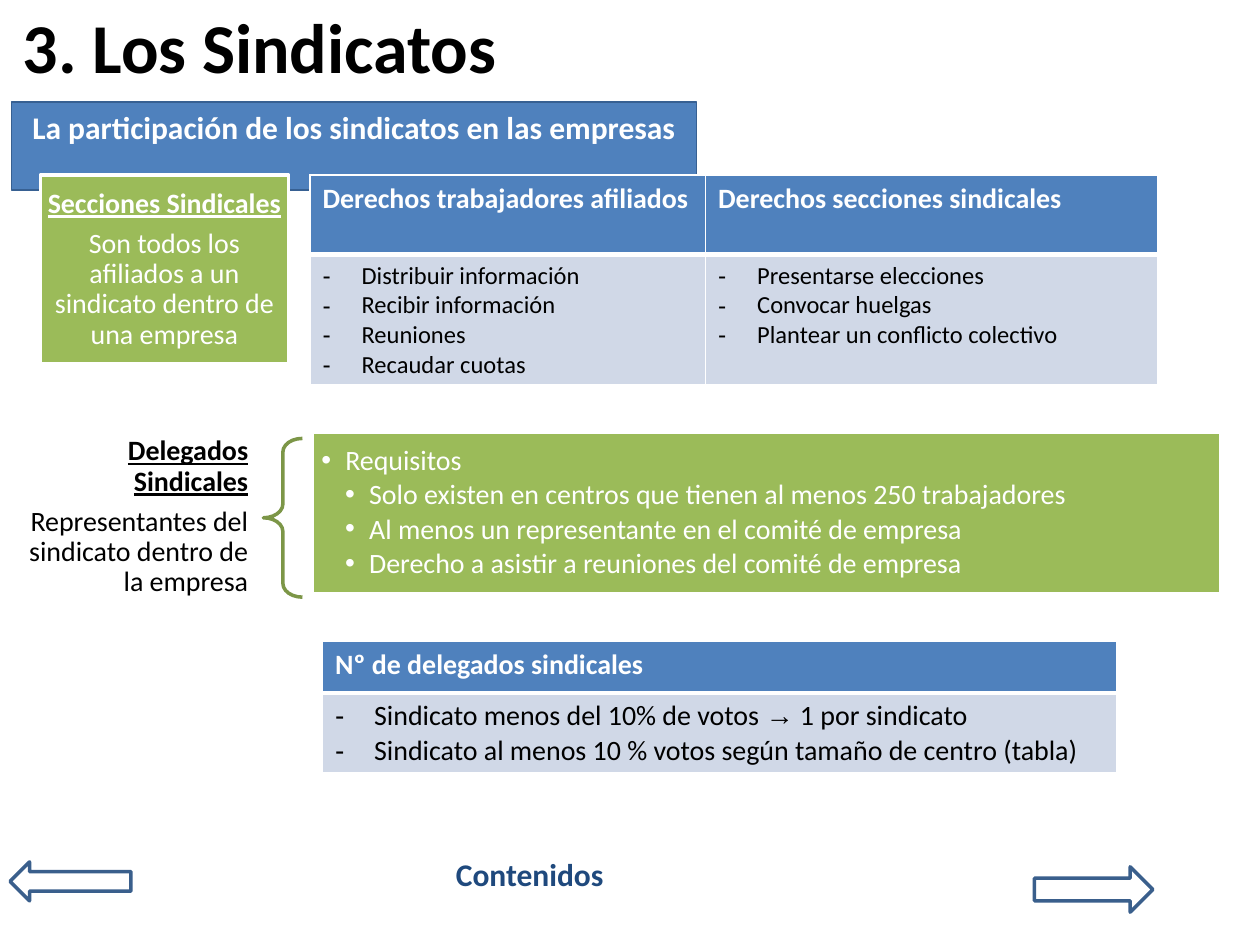
import dataclasses

import lxml.etree
import pptx
import pptx.dml.color
import pptx.enum.shapes
import pptx.enum.text
import pptx.oxml.ns
import pptx.util

SHAPE = pptx.enum.shapes.MSO_SHAPE
ALIGN = pptx.enum.text.PP_ALIGN
ANCHOR = pptx.enum.text.MSO_ANCHOR
PX = 9144  # EMU per px, 100 px to the inch
MARGINS = ("margin_left", "margin_top", "margin_right", "margin_bottom")


@dataclasses.dataclass(frozen=True)
class Theme:
    font: str = "Calibri"
    symbol_font: str = "Arial"
    white: str = "FFFFFF"
    black: str = "000000"
    blue: str = "4F81BD"
    blue_edge: str = "376092"
    arrow_edge: str = "3A5F8C"
    link: str = "1F497D"
    green: str = "9BBB59"
    brace: str = "7C9647"
    pale: str = "D0D8E7"
    title: int = 40
    heading: int = 18
    body: int = 16
    small: int = 14


def px(value):
    return pptx.util.Emu(value * PX)


def rgb(color):
    return pptx.dml.color.RGBColor.from_string(color)


def apply(target, values):
    for name, value in values.items():
        setattr(target, name, value)


def add_xml(parent, tag, **attributes):
    child = lxml.etree.SubElement(parent, pptx.oxml.ns.qn(tag))
    for name, value in attributes.items():
        child.set(name, str(value))
    return child


class SlideBuilder:
    def __init__(self, theme, slide):
        self.theme = theme
        self.slide = slide

    def paragraphs(self, frame, lines, size, color, fmt=None, bullet=None, margins=None, **frame_values):
        """Each line is (text, font values) or (text, font values, left indent, hanging indent)."""
        apply(frame, {"word_wrap": True, **frame_values})
        if margins:
            apply(frame, dict(zip(MARGINS, map(px, margins))))
        for index, (text, font_values, *indent) in enumerate(lines):
            paragraph = frame.paragraphs[0] if index == 0 else frame.add_paragraph()
            apply(paragraph, fmt or {})
            if bullet:
                self.bullet(paragraph, bullet, color, *indent)
            self.runs(paragraph, text, size, color, font_values)

    def runs(self, paragraph, text, size, color, font_values):
        before, arrow, after = text.partition("→")
        fonts = (self.theme.font, self.theme.symbol_font, self.theme.font)
        for part, font in zip((before, arrow, after), fonts):
            if part:
                run = paragraph.add_run()
                run.text = part
                apply(run.font, {"name": font, "size": pptx.util.Pt(size), "bold": False, **font_values})
                run.font.color.rgb = rgb(color)

    def bullet(self, paragraph, mark, color, left, hanging):
        properties = paragraph._p.get_or_add_pPr()
        properties.set("marL", str(px(left)))
        properties.set("indent", str(-px(hanging)))
        add_xml(add_xml(properties, "a:buClr"), "a:srgbClr", val=color)
        add_xml(properties, "a:buFont", typeface=self.theme.symbol_font)
        add_xml(properties, "a:buChar", char=mark)

    def title(self, box, text):
        title = self.slide.shapes.title
        apply(title, dict(zip(("left", "top", "width", "height"), map(px, box))))
        self.paragraphs(title.text_frame, [(text, {"bold": True})], self.theme.title, self.theme.black,
                        {"alignment": ALIGN.LEFT}, vertical_anchor=ANCHOR.MIDDLE,
                        auto_size=pptx.enum.text.MSO_AUTO_SIZE.NONE)

    def text(self, box, lines, size, color, **options):
        label = self.slide.shapes.add_textbox(*map(px, box))
        self.paragraphs(label.text_frame, lines, size, color, **options)

    def shape(self, kind, box, edge, edge_width, fill=None, adjustments=()):
        shape = self.slide.shapes.add_shape(kind, *map(px, box))
        shape.shadow.inherit = False
        if fill:
            shape.fill.solid()
            shape.fill.fore_color.rgb = rgb(fill)
        else:
            shape.fill.background()
        shape.line.color.rgb = rgb(edge)
        shape.line.width = pptx.util.Pt(edge_width)
        for index, value in enumerate(adjustments):
            shape.adjustments[index] = value
        return shape

    def table(self, left, top, widths, heights, headers, bodies, size):
        theme = self.theme
        frame = self.slide.shapes.add_table(2, len(widths), px(left), px(top), px(sum(widths)), px(sum(heights)))
        table = frame.table
        table.horz_banding = False
        for column, width in zip(table.columns, widths):
            column.width = px(width)
        for row, height in zip(table.rows, heights):
            row.height = px(height)
        for index, (header, items) in enumerate(zip(headers, bodies)):
            head, body = table.cell(0, index), table.cell(1, index)
            self.paragraphs(head.text_frame, [(header, {"bold": True})], theme.body, theme.white)
            self.paragraphs(body.text_frame, [(item, {}, 31, 31) for item in items],
                            size, theme.black, bullet="-")
            self.cell(head, theme.blue, {"L": 0.96, "R": 0.96, "T": 0.96, "B": 3})
            self.cell(body, theme.pale, {"L": 0.96, "R": 0.96, "T": 3, "B": 0.96})

    def cell(self, cell, fill, borders):
        properties = cell._tc.get_or_add_tcPr()
        for side, width in borders.items():
            line = add_xml(properties, "a:ln" + side, w=pptx.util.Pt(width))
            add_xml(add_xml(line, "a:solidFill"), "a:srgbClr", val=self.theme.white)
        cell.fill.solid()
        cell.fill.fore_color.rgb = rgb(fill)


def main():
    theme = Theme()
    deck = pptx.Presentation()
    deck.slide_width, deck.slide_height = px(1000), px(750)
    builder = SlideBuilder(theme, deck.slides.add_slide(deck.slide_layouts[5]))
    strong = {"bold": True}
    term = {"bold": True, "underline": True}
    centred = {"alignment": ALIGN.CENTER}
    spaced = {"line_spacing": 0.9, "space_after": pptx.util.Pt(5.6)}

    builder.title((8, 5, 992, 63), "3. Los Sindicatos")

    # Navigation
    builder.text((352, 674, 144, 70), [("Contenidos", strong)], theme.heading, theme.link)
    builder.shape(SHAPE.LEFT_ARROW, (8, 684, 96, 31), theme.arrow_edge, 2)
    builder.shape(SHAPE.RIGHT_ARROW, (821, 688, 94, 36), theme.arrow_edge, 2)

    # Section banner
    banner = builder.shape(SHAPE.RECTANGLE, (9, 81, 544, 70), theme.blue_edge, 0.75, theme.blue)
    builder.paragraphs(banner.text_frame, [("La participación de los sindicatos en las empresas", strong)],
                       theme.heading, theme.white, centred, vertical_anchor=ANCHOR.TOP)

    # Union sections
    sections = builder.shape(SHAPE.RECTANGLE, (32, 139, 197, 150), theme.white, 2, theme.green)
    builder.paragraphs(sections.text_frame, [
        ("Secciones Sindicales", term),
        ("Son todos los afiliados a un sindicato dentro de una empresa", {}),
    ], theme.body, theme.white, {**centred, **spaced}, margins=(4, 4, 4, 4), vertical_anchor=ANCHOR.MIDDLE)

    # Union delegates and their requirements
    builder.text((9, 341, 200, 139), [
        ("Delegados Sindicales", term),
        ("Representantes del sindicato dentro de la empresa", {}),
    ], theme.body, theme.black, fmt={"alignment": ALIGN.RIGHT, **spaced},
        margins=(12, 4, 12, 4), vertical_anchor=ANCHOR.MIDDLE)
    builder.shape(SHAPE.LEFT_BRACE, (209, 348, 31, 126), theme.brace, 2, adjustments=(0.35, 0.5))
    requirements = builder.shape(SHAPE.RECTANGLE, (248, 343, 721, 128), theme.white, 2, theme.green)
    builder.paragraphs(requirements.text_frame, [
        ("Requisitos", {}, 19, 19),
        ("Solo existen en centros que tienen al menos 250 trabajadores", {}, 38, 19),
        ("Al menos un representante en el comité de empresa", {}, 38, 19),
        ("Derecho a asistir a reuniones del comité de empresa", {}, 38, 19),
    ], theme.body, theme.white,
        {"alignment": ALIGN.LEFT, "line_spacing": 0.9, "space_after": pptx.util.Pt(2.4)},
        bullet="•", margins=(7, 7, 7, 7), vertical_anchor=ANCHOR.MIDDLE)

    # Number of delegates, then rights
    builder.table(256, 509, (630,), (41, 41), ["Nº de delegados sindicales"], [[
        "Sindicato menos del 10% de votos → 1 por sindicato",
        "Sindicato al menos 10 % votos según tamaño de centro (tabla)",
    ]], theme.body)
    builder.table(246, 139, (314, 359), (63, 103),
                  ["Derechos trabajadores afiliados", "Derechos secciones sindicales"],
                  [["Distribuir información", "Recibir información", "Reuniones", "Recaudar cuotas"],
                   ["Presentarse elecciones", "Convocar huelgas", "Plantear un conflicto colectivo"]],
                  theme.small)

    deck.save("out.pptx")


if __name__ == "__main__":
    main()
